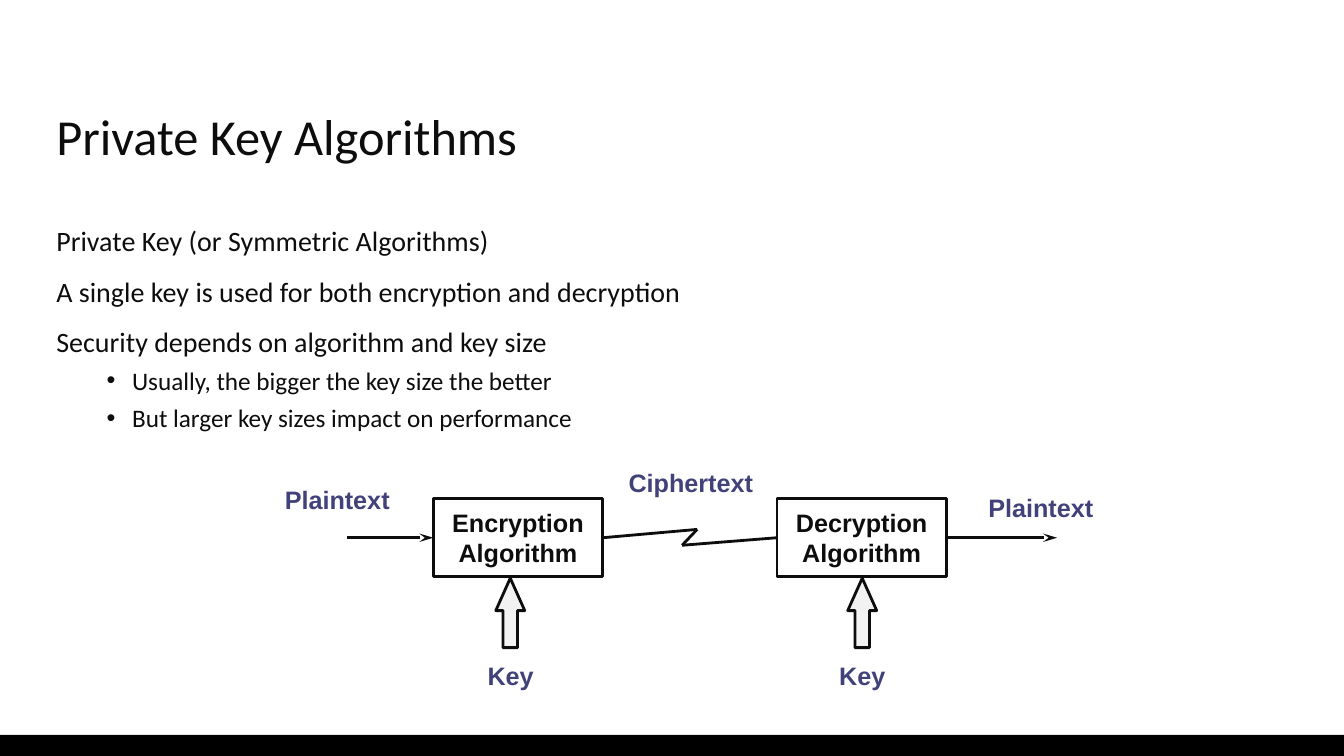
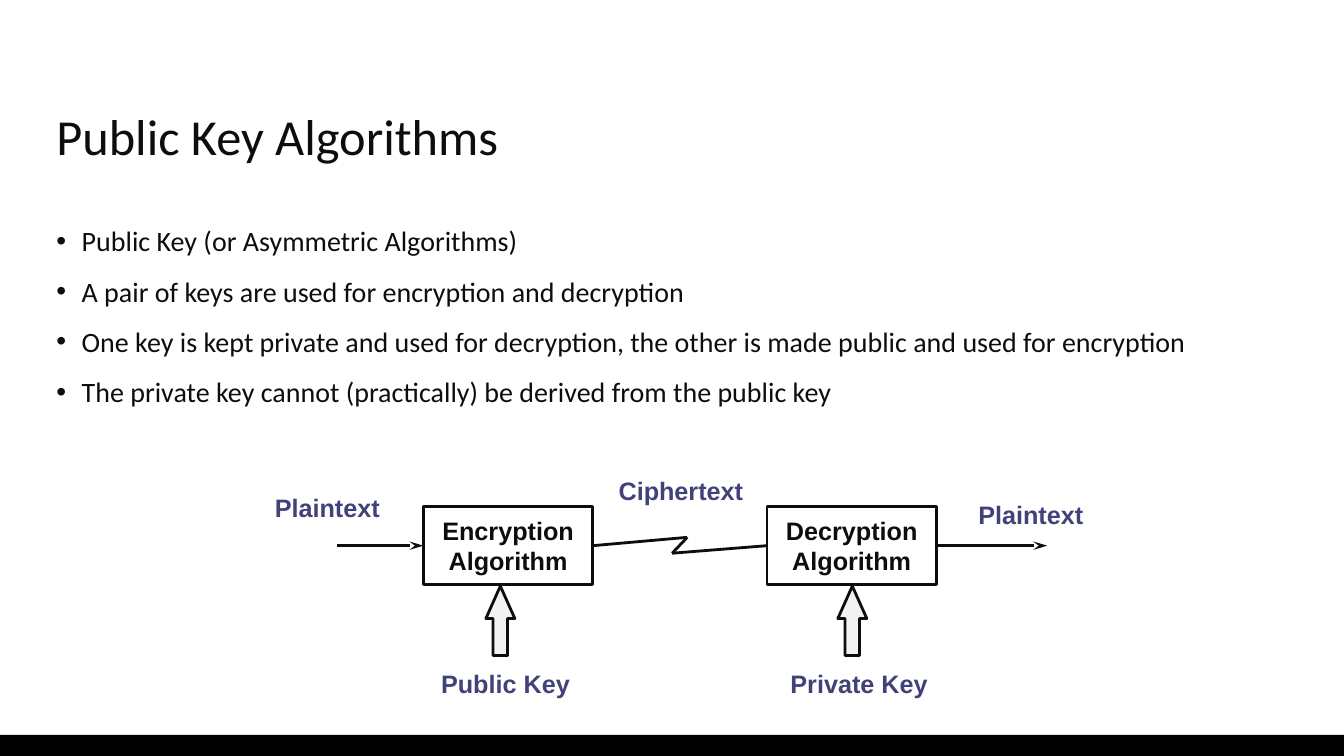
from dataclasses import dataclass

from lxml import etree
from pptx import Presentation
from pptx.dml.color import RGBColor
from pptx.enum.shapes import MSO_CONNECTOR, MSO_SHAPE
from pptx.enum.text import MSO_ANCHOR, PP_ALIGN
from pptx.oxml.ns import qn
from pptx.util import Cm, Pt

RECT, UP_ARROW = MSO_SHAPE.RECTANGLE, MSO_SHAPE.UP_ARROW
STRAIGHT = MSO_CONNECTOR.STRAIGHT
LEFT, CENTER = PP_ALIGN.LEFT, PP_ALIGN.CENTER
TOP, MIDDLE = MSO_ANCHOR.TOP, MSO_ANCHOR.MIDDLE
LEFT_SIDE, RIGHT_SIDE = 1, 3

COLORS = {"ink": "0D0D0D", "label": "42427A", "arrow": "F2F2F2", "band": "000000"}
SLIDE_W, SLIDE_H = 33.87, 19.05
MARGIN, CONTENT_W = 1.42, 31.01
BAND_H = 0.53
LINE_PT = 2
HANG = 0.64

# Diagram measures in cm, from the top left of the encryption box
BOX_W, BOX_H, BOX_STEP = 4.27, 1.96, 8.66
ARROW_W, ARROW_H, ARROW_TOP = 0.73, 1.75, 2.0
ARROW_CENTERS = (1.94, 10.81)
LABEL_W, LABEL_H, KEY_TOP = 4.0, 1.02, 3.94
FLOW_LABELS = (("Plaintext", -2.42, -0.5), ("Ciphertext", 6.49, -0.91),
               ("Plaintext", 15.31, -0.3))


@dataclass(frozen=True)
class Line:
    text: str
    size: int = 20
    before: int = 12
    indent: float = 0
    bullet: bool = False


@dataclass(frozen=True)
class KeyLabel:
    text: str
    center: float


@dataclass(frozen=True)
class Page:
    title: str
    lines: tuple[Line, ...]
    x: float
    y: float
    keys: tuple[KeyLabel, KeyLabel]


def sub_line(text: str) -> Line:
    return Line(text, size=18, before=5, indent=1.91, bullet=True)


def point(text: str) -> Line:
    return Line(text, indent=HANG, bullet=True)


PAGES = (
    Page("Private Key Algorithms",
         (Line("Private Key (or Symmetric Algorithms)"),
          Line("A single key is used for both encryption and decryption"),
          Line("Security depends on algorithm and key size"),
          sub_line("Usually, the bigger the key size the better"),
          sub_line("But larger key sizes impact on performance")),
         10.92, 12.57, (KeyLabel("Key", 1.95), KeyLabel("Key", 10.81))),
    Page("Public Key Algorithms",
         (point("Public Key (or Asymmetric Algorithms)"),
          point("A pair of keys are used for encryption and decryption"),
          point("One key is kept private and used for decryption, "
                "the other is made public and used for encryption"),
          point("The private key cannot (practically) be derived from the public key")),
         10.67, 12.77, (KeyLabel("Public Key", 2.07), KeyLabel("Private Key", 10.98))),
)


def rgb(name: str) -> RGBColor:
    return RGBColor.from_string(COLORS[name])


def write(p, text: str, *, size=18, font="Arial", color="ink", bold=False,
          align=LEFT, before=0, spacing=None) -> None:
    p.alignment, p.space_before = align, Pt(before)
    if spacing:
        p.line_spacing = spacing
    r = p.add_run()
    r.text = text
    r.font.size, r.font.name, r.font.bold = Pt(size), font, bold
    r.font.color.rgb = rgb(color)


def paragraph(tf, i: int):
    return tf.add_paragraph() if i else tf.paragraphs[0]


def add_text(slide, x: float, y: float, w: float, h: float, inset=0.0, wrap=True):
    tf = slide.shapes.add_textbox(Cm(x), Cm(y), Cm(w), Cm(h)).text_frame
    tf.word_wrap, tf.vertical_anchor = wrap, TOP
    tf.margin_left = tf.margin_right = Cm(inset)
    return tf


def add_shape(slide, kind, x: float, y: float, w: float, h: float, fill=None, line=None):
    sp = slide.shapes.add_shape(kind, Cm(x), Cm(y), Cm(w), Cm(h))
    sp.shadow.inherit = False
    if fill:
        sp.fill.solid()
        sp.fill.fore_color.rgb = rgb(fill)
    else:
        sp.fill.background()
    if line:
        sp.line.color.rgb, sp.line.width = rgb(line), Pt(LINE_PT)
    else:
        sp.line.fill.background()
    return sp


def add_line(slide, start, end, begin_box=None, end_box=None, head=False) -> None:
    cx = slide.shapes.add_connector(STRAIGHT, *map(Cm, start + end))
    cx.line.color.rgb, cx.line.width = rgb("ink"), Pt(LINE_PT)
    if begin_box is not None:
        cx.begin_connect(begin_box, RIGHT_SIDE)
    if end_box is not None:
        cx.end_connect(end_box, LEFT_SIDE)
    if head:
        etree.SubElement(cx.line._get_or_add_ln(), qn("a:tailEnd"), type="stealth", len="lg")
    etree.SubElement(cx._element.spPr, qn("a:effectLst"))


def add_label(slide, text: str, center: float, y: float) -> None:
    tf = add_text(slide, center - LABEL_W / 2, y, LABEL_W, LABEL_H, 0.25, wrap=False)
    write(tf.paragraphs[0], text, color="label", bold=True, align=CENTER)


def add_frame(slide, title: str) -> None:
    add_shape(slide, RECT, 0, SLIDE_H - BAND_H, SLIDE_W, BAND_H, fill="band")
    tf = add_text(slide, MARGIN, 2.69, CONTENT_W, 2.01)
    write(tf.paragraphs[0], title, size=36, font="Calibri", spacing=0.9)


def add_body(slide, lines: tuple[Line, ...]) -> None:
    tf = add_text(slide, MARGIN, 5.51, CONTENT_W, 12.01)
    for i, line in enumerate(lines):
        p = paragraph(tf, i)
        if line.bullet:
            pPr = p._p.get_or_add_pPr()
            pPr.set("marL", str(Cm(line.indent)))
            pPr.set("indent", str(-Cm(HANG)))
            etree.SubElement(pPr, qn("a:buFont"), typeface="Arial")
            etree.SubElement(pPr, qn("a:buChar"), char="•")
        write(p, line.text, size=line.size, font="Calibri",
              before=line.before if i else 0)


def add_box(slide, name: str, x: float, y: float):
    sp = add_shape(slide, RECT, x, y, BOX_W, BOX_H, line="ink")
    tf = sp.text_frame
    tf.word_wrap, tf.vertical_anchor = False, MIDDLE
    for i, text in enumerate((name, "Algorithm")):
        write(paragraph(tf, i), text, bold=True, align=CENTER)
    return sp


def add_diagram(slide, page: Page) -> None:
    def at(dx: float, dy: float) -> tuple[float, float]:
        return page.x + dx, page.y + dy

    # Algorithm boxes
    enc, dec = (add_box(slide, name, *at(i * BOX_STEP, 0))
                for i, name in enumerate(("Encryption", "Decryption")))

    # Broken transmission line, then the arrows in and out
    mid = BOX_H / 2
    peak, dip = at(6.65, 0.77), at(6.27, 1.17)
    add_line(slide, at(BOX_W, mid), peak, begin_box=enc)
    add_line(slide, peak, dip)
    add_line(slide, dip, at(BOX_STEP, mid), end_box=dec)
    add_line(slide, at(-2.18, mid), at(0, mid), end_box=enc, head=True)
    add_line(slide, at(BOX_STEP + BOX_W, mid), at(15.72, mid), begin_box=dec, head=True)

    # Labels and key arrows
    for text, dx, dy in FLOW_LABELS:
        add_label(slide, text, *at(dx, dy))
    for center, key in zip(ARROW_CENTERS, page.keys):
        sp = add_shape(slide, UP_ARROW, *at(center - ARROW_W / 2, ARROW_TOP),
                       ARROW_W, ARROW_H, fill="arrow", line="ink")
        sp.adjustments[0], sp.adjustments[1] = 0.5, 1.12
        add_label(slide, key.text, *at(key.center, KEY_TOP))


def main() -> None:
    prs = Presentation()
    prs.slide_width, prs.slide_height = Cm(SLIDE_W), Cm(SLIDE_H)
    for page in PAGES:
        slide = prs.slides.add_slide(prs.slide_layouts[6])
        add_frame(slide, page.title)
        add_body(slide, page.lines)
        add_diagram(slide, page)
    prs.save("out.pptx")


if __name__ == "__main__":
    main()
